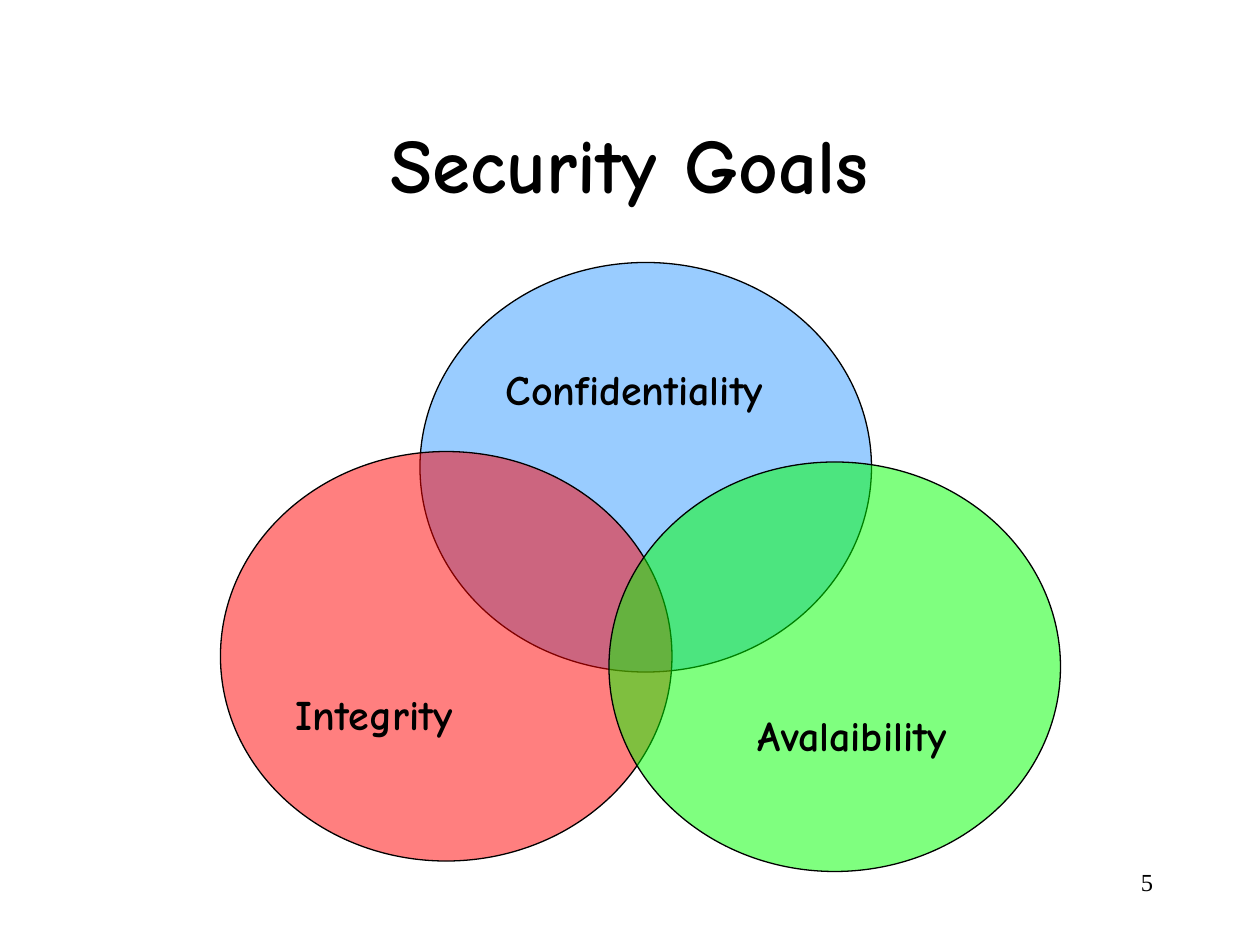
from dataclasses import dataclass

from lxml.etree import SubElement
from pptx import Presentation
from pptx.dml.color import RGBColor as Rgb
from pptx.enum.shapes import MSO_SHAPE as Shape
from pptx.enum.text import MSO_ANCHOR as Anchor, PP_ALIGN as Align
from pptx.oxml.ns import qn
from pptx.util import Pt

PX = 7620


@dataclass(frozen=True)
class Theme:
    """Colours, fonts and type sizes of the slide."""
    ink: str = "000000"
    blue: str = "99CCFF"
    red: str = "FF0000"
    green: str = "00FF00"
    heading_font: str = "Comic Neue"
    number_font: str = "Times New Roman"
    title_size: int = 44
    label_size: int = 24
    number_size: int = 14
    outline: float = 0.75


THEME = Theme()


def scaled(*lengths):
    """Turn px lengths into EMU."""
    return [length * PX for length in lengths]


def add_text(slide, box, wording, size, font=THEME.heading_font, bold=True,
             align=Align.LEFT, anchor=Anchor.TOP):
    """Place one line of text in a box."""
    frame = slide.shapes.add_textbox(*scaled(*box)).text_frame
    frame.word_wrap = True
    frame.vertical_anchor = anchor
    line = frame.paragraphs[0]
    line.text = wording
    line.alignment = align
    line.font.name = font
    line.font.size = Pt(size)
    line.font.bold = bold
    line.font.color.rgb = Rgb.from_string(THEME.ink)


def add_goal_circle(slide, box, colour, opacity):
    """Draw one outlined ellipse with the given opacity in percent."""
    circle = slide.shapes.add_shape(Shape.OVAL, *scaled(*box))
    circle.shadow.inherit = False
    circle.fill.solid()
    circle.fill.fore_color.rgb = Rgb.from_string(colour)
    circle.line.color.rgb = Rgb.from_string(THEME.ink)
    circle.line.width = Pt(THEME.outline)
    if opacity < 100:
        tint = circle.fill._xPr.find(qn("a:solidFill"))[0]
        SubElement(tint, qn("a:alpha"), val=str(opacity * 1000))


def add_title(slide, box):
    """Place the centred slide title."""
    add_text(slide, box, "Security Goals", THEME.title_size,
             align=Align.CENTER, anchor=Anchor.MIDDLE)


def add_venn(slide, box):
    """Place the three overlapping goals, then their labels on top."""
    left, top, _, _ = box
    circle_width, circle_height, label_height = 430, 390, 60
    goals = [
        ("Confidentiality", THEME.blue, 100, (190, 0), (260, 90), 320),
        ("Integrity", THEME.red, 50, (0, 180), (60, 400), 260),
        ("Avalaibility", THEME.green, 50, (370, 190), (500, 420), 270),
    ]
    for _, colour, opacity, (x, y), _, _ in goals:
        add_goal_circle(slide, (left + x, top + y, circle_width, circle_height),
                        colour, opacity)
    for goal, _, _, _, (x, y), width in goals:
        add_text(slide, (left + x, top + y, width, label_height), goal,
                 THEME.label_size)


def add_slide_number(slide, box):
    """Place the slide number at the right of its box."""
    add_text(slide, box, "5", THEME.number_size, THEME.number_font,
             bold=False, align=Align.RIGHT)


def main():
    """Build and save the slide."""
    deck = Presentation()
    deck.slide_width, deck.slide_height = scaled(1200, 900)
    slide = deck.slides.add_slide(deck.slide_layouts[6])
    add_title(slide, (90, 80, 1020, 150))
    add_venn(slide, (210, 250, 800, 580))
    add_slide_number(slide, (860, 820, 250, 60))
    deck.save("out.pptx")


if __name__ == "__main__":
    main()
